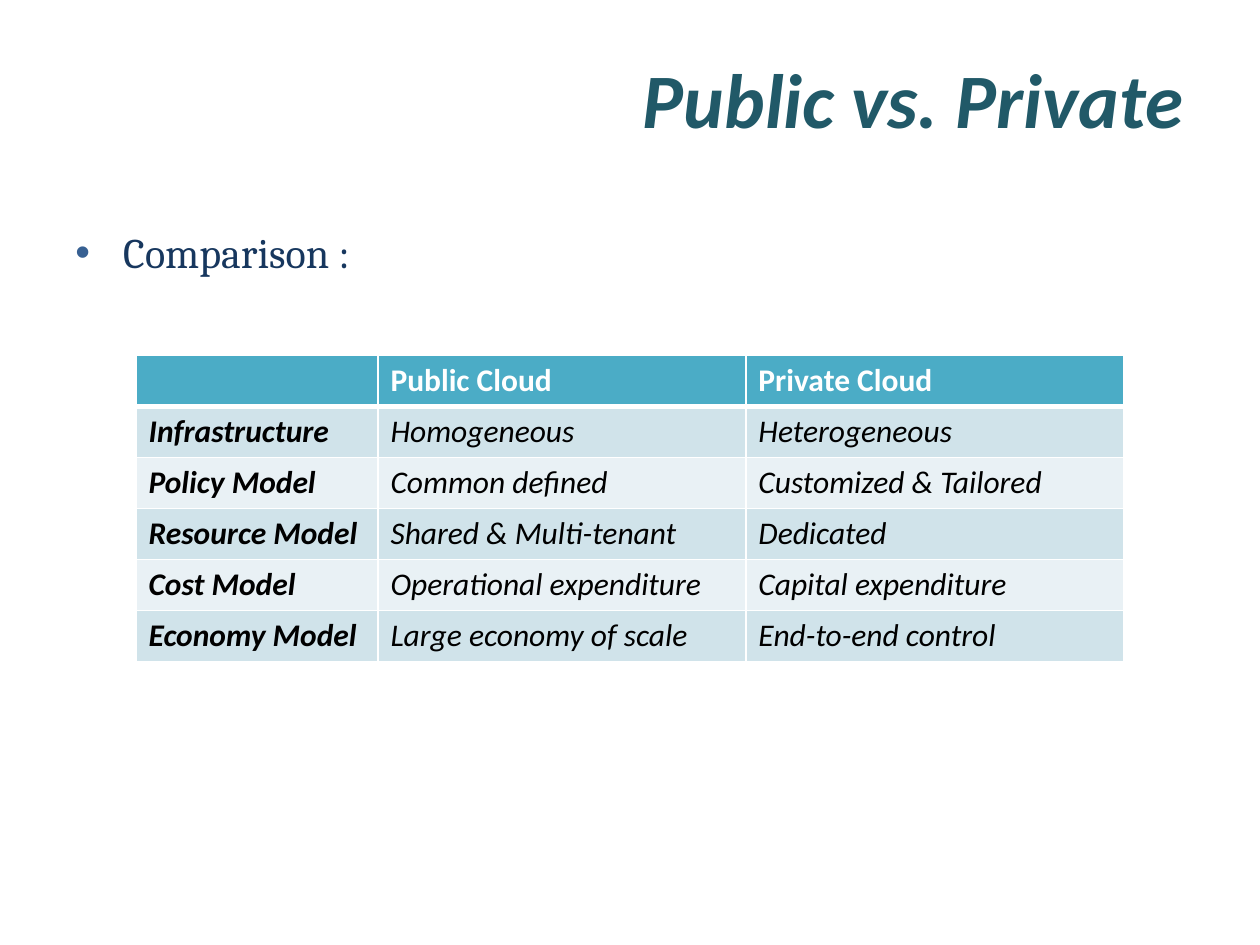
from pptx import Presentation
from pptx.dml.color import RGBColor
from pptx.enum.text import MSO_ANCHOR, PP_ALIGN
from pptx.oxml import parse_xml
from pptx.oxml.ns import nsdecls
from pptx.util import Inches, Pt

TEAL = RGBColor(0x21, 0x59, 0x68)
NAVY = RGBColor(0x17, 0x37, 0x5E)
BLUE = RGBColor(0x37, 0x60, 0x92)
AQUA = RGBColor(0x4B, 0xAC, 0xC6)
MIST = RGBColor(0xD0, 0xE3, 0xEA)
PALE = RGBColor(0xE9, 0xF1, 0xF5)
WHITE = RGBColor(0xFF, 0xFF, 0xFF)
BLACK = RGBColor(0x00, 0x00, 0x00)

ROWS = [
    ("", "Public Cloud", "Private Cloud"),
    ("Infrastructure", "Homogeneous", "Heterogeneous"),
    ("Policy Model", "Common defined", "Customized & Tailored"),
    ("Resource Model", "Shared & Multi-tenant", "Dedicated"),
    ("Cost Model", "Operational expenditure", "Capital expenditure"),
    ("Economy Model", "Large economy of scale", "End-to-end control"),
]


class Deck:
    """Hold the fonts and the current slide, and draw each kind of element."""

    sans = "Calibri"
    serif = "Cambria"

    def __init__(self):
        self.file = Presentation()
        self.file.slide_width, self.file.slide_height = Inches(10), Inches(7.5)
        self.slide = self.file.slides.add_slide(self.file.slide_layouts[5])

    def style(self, para, name, size, color, bold=False, italic=False):
        for run in para.runs:
            font = run.font
            font.name, font.size = name, Pt(size)
            font.bold, font.italic = bold, italic
            font.color.rgb = color

    def title(self, text):
        shape = self.slide.shapes.title
        shape.left, shape.top = Inches(0.5), Inches(0.3)
        shape.width, shape.height = Inches(9), Inches(0.95)
        frame = shape.text_frame
        frame.text = text
        frame.vertical_anchor = MSO_ANCHOR.MIDDLE
        para = frame.paragraphs[0]
        para.alignment = PP_ALIGN.RIGHT
        self.style(para, self.sans, 44, TEAL, True, True)

    def bullet(self, text):
        box = self.slide.shapes.add_textbox(
            Inches(0.5), Inches(1.75), Inches(9), Inches(0.67))
        frame = box.text_frame
        frame.word_wrap = True
        frame.text = text
        para = frame.paragraphs[0]
        props = para._p.get_or_add_pPr()
        props.set("marL", str(Inches(0.38)))
        props.set("indent", str(-Inches(0.38)))
        for mark in (f'<a:buClr {nsdecls("a")}><a:srgbClr val="{BLUE}"/></a:buClr>',
                     f'<a:buFont {nsdecls("a")} typeface="Arial"/>',
                     f'<a:buChar {nsdecls("a")} char="•"/>'):
            props.append(parse_xml(mark))
        self.style(para, self.serif, 24, NAVY)

    def border(self, cell, top, bottom):
        props = cell._tc.get_or_add_tcPr()
        for side, width in zip("LRTB", (1, 1, top, bottom)):
            props.append(parse_xml(
                f'<a:ln{side} {nsdecls("a")} w="{Pt(width)}"><a:solidFill>'
                f'<a:srgbClr val="{WHITE}"/></a:solidFill></a:ln{side}>'))

    def table(self, rows, widths, high):
        grid = self.slide.shapes.add_table(
            len(rows), len(widths), Inches(1.08), Inches(2.82),
            Inches(sum(widths)), Inches(high * len(rows))).table
        for col, width in zip(grid.columns, widths):
            col.width = Inches(width)
        for r, row in enumerate(rows):
            grid.rows[r].height = Inches(high)
            head = r == 0
            for c, text in enumerate(row):
                cell = grid.cell(r, c)
                self.border(cell, 3 if r == 1 else 1, 3 if head else 1)
                cell.fill.solid()
                cell.fill.fore_color.rgb = AQUA if head else MIST if r % 2 else PALE
                cell.vertical_anchor = MSO_ANCHOR.TOP if head else MSO_ANCHOR.MIDDLE
                cell.text_frame.text = text
                self.style(cell.text_frame.paragraphs[0], self.sans, 18,
                           WHITE if head else BLACK, head or c == 0, not head)


def main():
    deck = Deck()
    deck.title("Public vs. Private")
    deck.bullet("Comparison :")
    deck.table(ROWS, (1.92, 2.92, 3), 0.405)
    deck.file.save("out.pptx")


if __name__ == "__main__":
    main()
